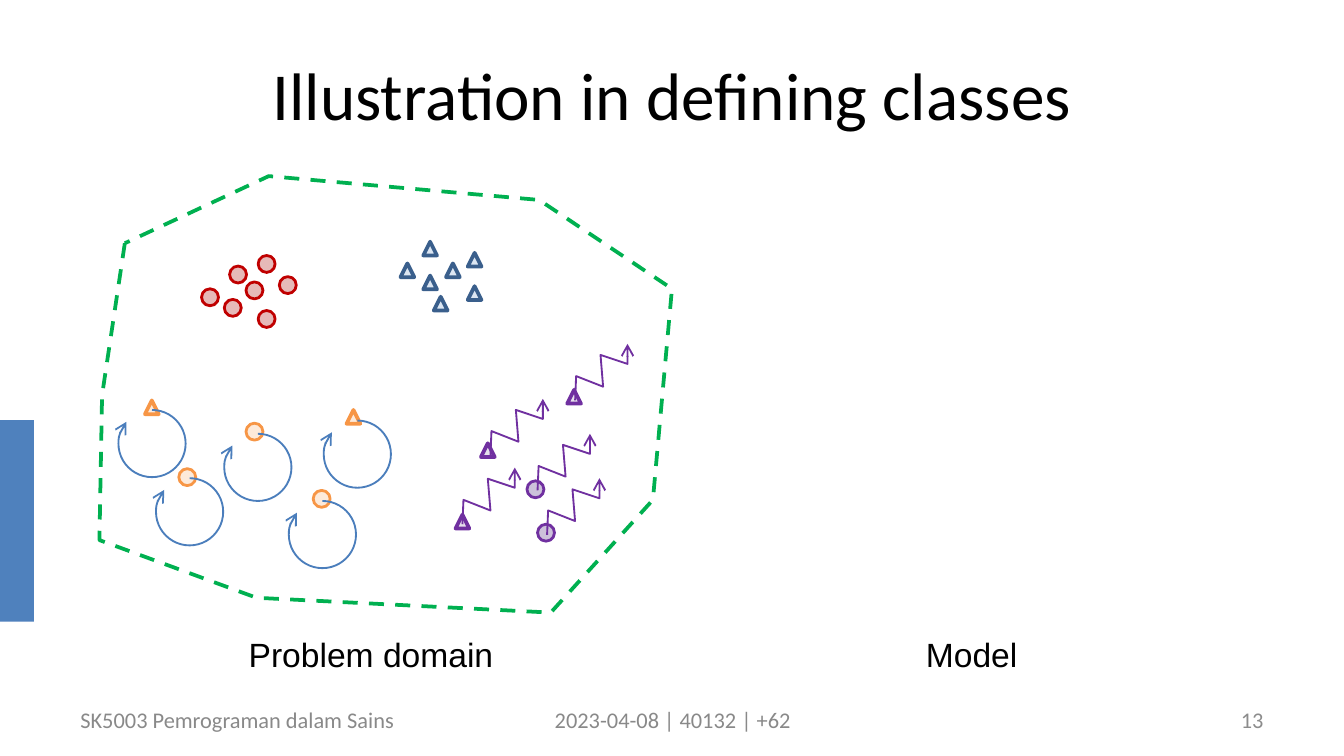
"""Build the slide that sorts objects of a problem domain into classes."""
from lxml.etree import SubElement
from pptx import Presentation
from pptx.dml.color import RGBColor
from pptx.enum.dml import MSO_LINE_DASH_STYLE as DASH
from pptx.enum.shapes import MSO_SHAPE as SHAPE
from pptx.enum.text import MSO_ANCHOR as ANCHOR, MSO_AUTO_SIZE as FIT, PP_ALIGN as ALIGN
from pptx.oxml.ns import qn
from pptx.util import Cm, Pt

BLACK = RGBColor(0x00, 0x00, 0x00)
GRAY = RGBColor(0x89, 0x89, 0x89)
NUMBER_GRAY = RGBColor(0x8C, 0x8C, 0x8C)
ACCENT = RGBColor(0x4F, 0x81, 0xBD)
GREEN = RGBColor(0x00, 0xB0, 0x50)
RED = RGBColor(0xC0, 0x00, 0x00)
PINK = RGBColor(0xE6, 0xB9, 0xB8)
NAVY = RGBColor(0x3A, 0x5F, 0x8C)
ICE = RGBColor(0xDC, 0xE6, 0xF2)
ORANGE = RGBColor(0xF7, 0x96, 0x46)
CREAM = RGBColor(0xFD, 0xEA, 0xDA)
PURPLE = RGBColor(0x70, 0x30, 0xA0)
LILAC = RGBColor(0xCC, 0xC1, 0xDA)
PALE_LILAC = RGBColor(0xE6, 0xE0, 0xEC)
BLUE = RGBColor(0x4B, 0x7E, 0xBC)

CIRCLE, TRIANGLE, ORBIT = 0.32, 0.26, 1.27
ZIGZAG = [(0, 0), (0.02, -0.46), (0.53, -0.26), (0.48, -0.86), (0.99, -0.69), (0.99, -1.07)]
DOMAIN = [(2.36, 4.6), (1.93, 7.47), (1.88, 10.21), (4.85, 11.3), (10.41, 11.58),
          (12.34, 9.45), (12.7, 5.46), (10.19, 3.78), (5.08, 3.33)]

RED_CIRCLES = [(4.34, 5.03), (4.24, 5.66), (4.65, 5.33), (3.81, 5.46),
               (4.88, 4.83), (4.88, 5.87), (5.28, 5.23)]
BLUE_TRIANGLES = [(8, 4.57), (8.43, 4.98), (8, 5.21), (8.84, 4.78),
                  (8.2, 5.61), (8.84, 5.41), (7.57, 4.98)]
ORANGE_CIRCLES = [(3.38, 8.86), (5.92, 9.27), (4.65, 8)]
ORANGE_TRIANGLES = [(2.74, 7.57), (6.55, 7.75)]
PURPLE_CIRCLES = [(9.96, 9.09), (10.16, 9.91)]
PURPLE_TRIANGLES = [(8.61, 9.73), (10.72, 7.37), (9.09, 8.38)]
ORBITS = [(2.95, 9.04), (5.46, 9.47), (4.24, 8.2), (6.12, 7.95), (2.24, 7.75)]
ZIGZAG_STARTS = [(10.16, 9.27), (10.34, 10.11), (9.27, 8.61), (8.74, 9.91), (10.87, 7.57)]


class Sketch:
    """Hold the style and the current slide."""

    title = {"name": "Calibri", "size": Pt(36)}
    footer = {"name": "Calibri", "size": Pt(12)}
    label = {"name": "Arial", "size": Pt(18)}

    def __init__(self, s):
        self.s = s

    def paint(self, sp, fill=None, line=None, width=1, dash=None, arrow=False):
        sp.shadow.inherit = False
        if fill is None:
            sp.fill.background()
        else:
            sp.fill.solid()
            sp.fill.fore_color.rgb = fill
        if line is None:
            sp.line.fill.background()
            return
        sp.line.color.rgb = line
        for key, value in {"width": Pt(width), "dash_style": dash}.items():
            setattr(sp.line, key, value)
        if arrow:
            ln = sp._element.spPr.find(qn("a:ln"))
            SubElement(ln, qn("a:tailEnd"), type="arrow")

    def shape(self, kind, x, y, w, h, **look):
        sp = self.s.shapes.add_shape(kind, Cm(x), Cm(y), Cm(w), Cm(h))
        self.paint(sp, **look)
        return sp

    def cluster(self, kind, size, places, **look):
        for x, y in places:
            self.shape(kind, x, y, size, size, **look)

    def orbit(self, x, y):
        sp = self.shape(SHAPE.ARC, x, y, ORBIT, ORBIT, line=BLUE, arrow=True)
        sp.adjustments[0], sp.adjustments[1] = 162, 132.25

    def outline(self, points, close=False, **look):
        (x, y), *rest = [(Cm(px), Cm(py)) for px, py in points]
        builder = self.s.shapes.build_freeform(x, y)
        builder.add_line_segments(rest, close=close)
        self.paint(builder.convert_to_shape(), **look)

    def text(self, words, x, y, w, h, style, color=BLACK, align=ALIGN.LEFT, **frame):
        tf = self.s.shapes.add_textbox(Cm(x), Cm(y), Cm(w), Cm(h)).text_frame
        frame = {"word_wrap": True, "vertical_anchor": ANCHOR.MIDDLE, **frame}
        for key, value in frame.items():
            setattr(tf, key, value)
        p = tf.paragraphs[0]
        p.alignment = align
        r = p.add_run()
        r.text = words
        for key, value in style.items():
            setattr(r.font, key, value)
        r.font.color.rgb = color

    def caption(self, words, x, w):
        self.text(words, x, 11.86, w, 1.02, self.label, word_wrap=False,
                  vertical_anchor=ANCHOR.TOP, auto_size=FIT.SHAPE_TO_FIT_TEXT)


def main():
    prs = Presentation()
    prs.slide_width, prs.slide_height = Cm(25.4), Cm(14.29)
    sketch = Sketch(prs.slides.add_slide(prs.slide_layouts[6]))

    sketch.shape(SHAPE.RECTANGLE, 0, 7.94, 0.64, 3.81, fill=ACCENT)
    sketch.text("Illustration in defining classes", 1.27, 0.58, 22.86, 2.39,
                sketch.title, align=ALIGN.CENTER)
    for words, x, w, color, align in [
        ("SK5003 Pemrograman dalam Sains", 1.27, 6.55, GRAY, ALIGN.LEFT),
        ("2023-04-08 | 40132 | +62", 8.69, 8.05, GRAY, ALIGN.CENTER),
        ("13", 18.21, 5.92, NUMBER_GRAY, ALIGN.RIGHT),
    ]:
        sketch.text(words, x, 13.23, w, 0.76, sketch.footer, color, align)

    sketch.outline(DOMAIN, close=True, line=GREEN, width=2, dash=DASH.DASH)
    for places, fill, line in [
        (RED_CIRCLES, PINK, RED),
        (ORANGE_CIRCLES, CREAM, ORANGE),
        (PURPLE_CIRCLES, LILAC, PURPLE),
    ]:
        sketch.cluster(SHAPE.OVAL, CIRCLE, places, fill=fill, line=line, width=1.5)
    for places, fill, line in [
        (BLUE_TRIANGLES, ICE, NAVY),
        (ORANGE_TRIANGLES, CREAM, ORANGE),
        (PURPLE_TRIANGLES, PALE_LILAC, PURPLE),
    ]:
        sketch.cluster(SHAPE.ISOSCELES_TRIANGLE, TRIANGLE, places,
                       fill=fill, line=line, width=2)
    for x, y in ORBITS:
        sketch.orbit(x, y)
    for x, y in ZIGZAG_STARTS:
        sketch.outline([(x + dx, y + dy) for dx, dy in ZIGZAG], line=PURPLE, arrow=True)

    sketch.caption("Problem domain", 4.45, 5.18)
    sketch.caption("Model", 17.25, 2.26)
    prs.save("out.pptx")


if __name__ == "__main__":
    main()
